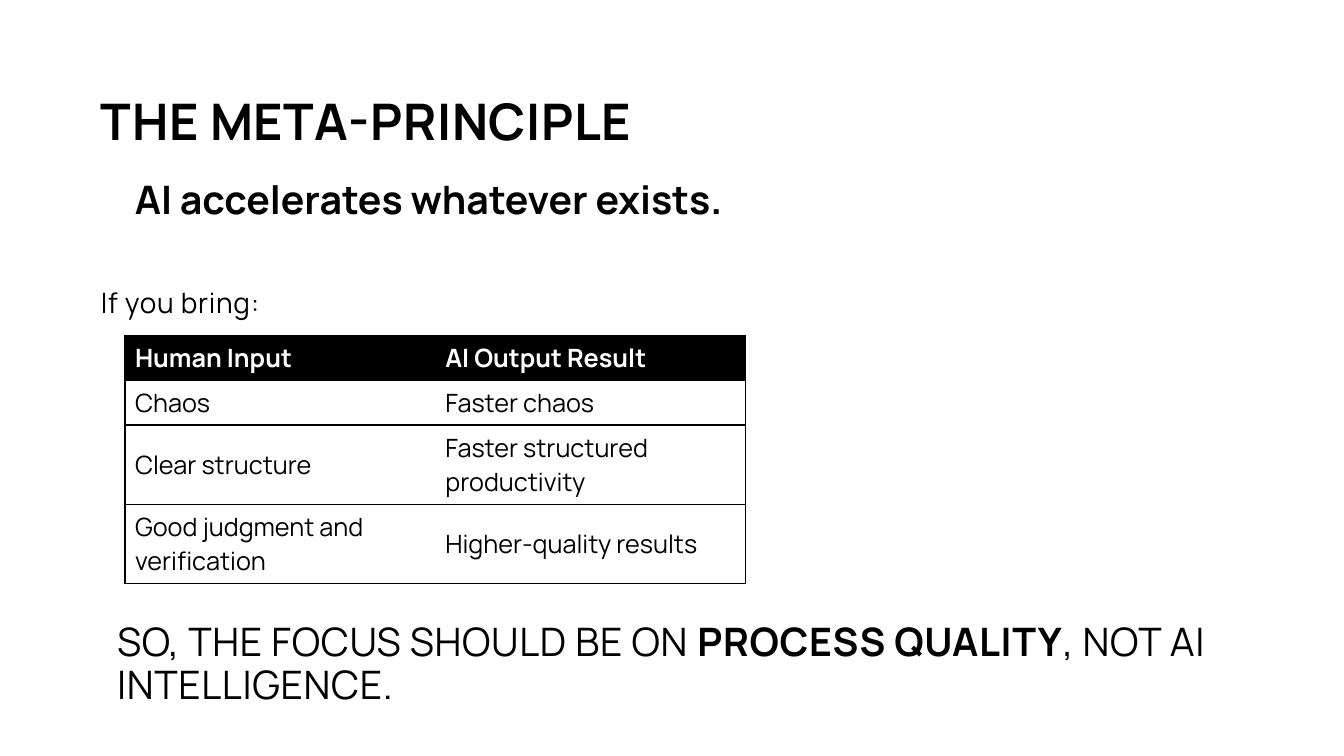
from dataclasses import dataclass

from lxml import etree
from pptx import Presentation
from pptx import util as u
from pptx.dml.color import RGBColor
from pptx.enum import text
from pptx.oxml import ns
from pptx.util import Cm


@dataclass(frozen=True)
class Theme:
    font: str = "Manrope"
    ink: str = "000000"
    paper: str = "FFFFFF"
    title: int = 36
    statement: int = 28
    lead: int = 20
    cell: int = 18
    tracking: str = "50"
    line_spacing: float = 0.9
    border: float = 1


THEME = Theme()
ROWS = [
    ("Human Input", "AI Output Result"),
    ("Chaos", "Faster chaos"),
    ("Clear structure", "Faster structured productivity"),
    ("Good judgment and verification", "Higher-quality results"),
]
ROW_HEIGHTS = (1.13, 1.13, 2, 2)
COLUMN_WIDTH = 7.82


def format_span(span, size, bold=False, color=THEME.ink, tracked=False):
    font = span.font
    font.name, font.size, font.bold = THEME.font, u.Pt(size), bold
    font.color.rgb = RGBColor.from_string(color)
    if tracked:
        span._r.get_or_add_rPr().set("spc", THEME.tracking)


def fill_frame(frame, spans, size, tracked=True):
    """Write (wording, bold) spans as one top-left paragraph."""
    frame.word_wrap = True
    frame.auto_size = text.MSO_AUTO_SIZE.NONE
    frame.vertical_anchor = text.MSO_ANCHOR.TOP
    para = frame.paragraphs[0]
    para.alignment = text.PP_ALIGN.LEFT
    if tracked:
        para.line_spacing = THEME.line_spacing
    for wording, bold in spans:
        span = para.add_run()
        span.text = wording
        format_span(span, size, bold, tracked=tracked)


def add_title(page, wording):
    title = page.shapes.title
    title.left, title.top, title.width, title.height = Cm(2.29), Cm(2.31), Cm(29), Cm(3.15)
    fill_frame(title.text_frame, [(wording, True)], THEME.title)


def add_text(page, left, top, width, height, spans, size, tracked=True):
    box = page.shapes.add_textbox(Cm(left), Cm(top), Cm(width), Cm(height))
    fill_frame(box.text_frame, spans, size, tracked)


def set_borders(cell, drawn_sides):
    properties = cell._tc.get_or_add_tcPr()
    for side in "LRTB":
        line = etree.SubElement(properties, ns.qn(f"a:ln{side}"), w=str(u.Pt(THEME.border)))
        if side in drawn_sides:
            fill = etree.SubElement(line, ns.qn("a:solidFill"))
            etree.SubElement(fill, ns.qn("a:srgbClr"), val=THEME.ink)
        else:
            etree.SubElement(line, ns.qn("a:noFill"))


def format_cell(cell, wording, is_header, drawn_sides):
    set_borders(cell, drawn_sides)
    cell.fill.solid()
    cell.fill.fore_color.rgb = RGBColor.from_string(THEME.ink if is_header else THEME.paper)
    cell.vertical_anchor = text.MSO_ANCHOR.MIDDLE
    cell.text_frame.text = wording
    format_span(cell.text_frame.paragraphs[0].runs[0], THEME.cell, is_header,
                THEME.paper if is_header else THEME.ink)


def add_outcome_table(page):
    columns = len(ROWS[0])
    table = page.shapes.add_table(
        len(ROWS), columns, Cm(3.15), Cm(8.45),
        Cm(COLUMN_WIDTH * columns), Cm(sum(ROW_HEIGHTS))).table
    for column in table.columns:
        column.width = Cm(COLUMN_WIDTH)
    for r, (height, wordings) in enumerate(zip(ROW_HEIGHTS, ROWS)):
        table.rows[r].height = Cm(height)
        for c, (wording, outer_side) in enumerate(zip(wordings, "LR")):
            format_cell(table.cell(r, c), wording, r == 0, outer_side + "TB")


def main():
    deck = Presentation()
    deck.slide_width, deck.slide_height = Cm(33.87), Cm(19.05)
    page = deck.slides.add_slide(deck.slide_layouts[5])
    add_title(page, "THE META-PRINCIPLE")
    add_outcome_table(page)
    add_text(page, 3.15, 4.29, 29, 1.68, [("AI accelerates whatever exists.", True)],
             THEME.statement, tracked=False)
    add_text(page, 2.29, 7.16, 8.28, 1.3, [("If you bring:", False)], THEME.lead)
    add_text(page, 2.7, 15.57, 29.44, 3.18,
             [("SO, THE FOCUS SHOULD BE ON ", False), ("PROCESS QUALITY", True),
              (", NOT AI INTELLIGENCE.", False)], THEME.statement)
    deck.save("out.pptx")


if __name__ == "__main__":
    main()
